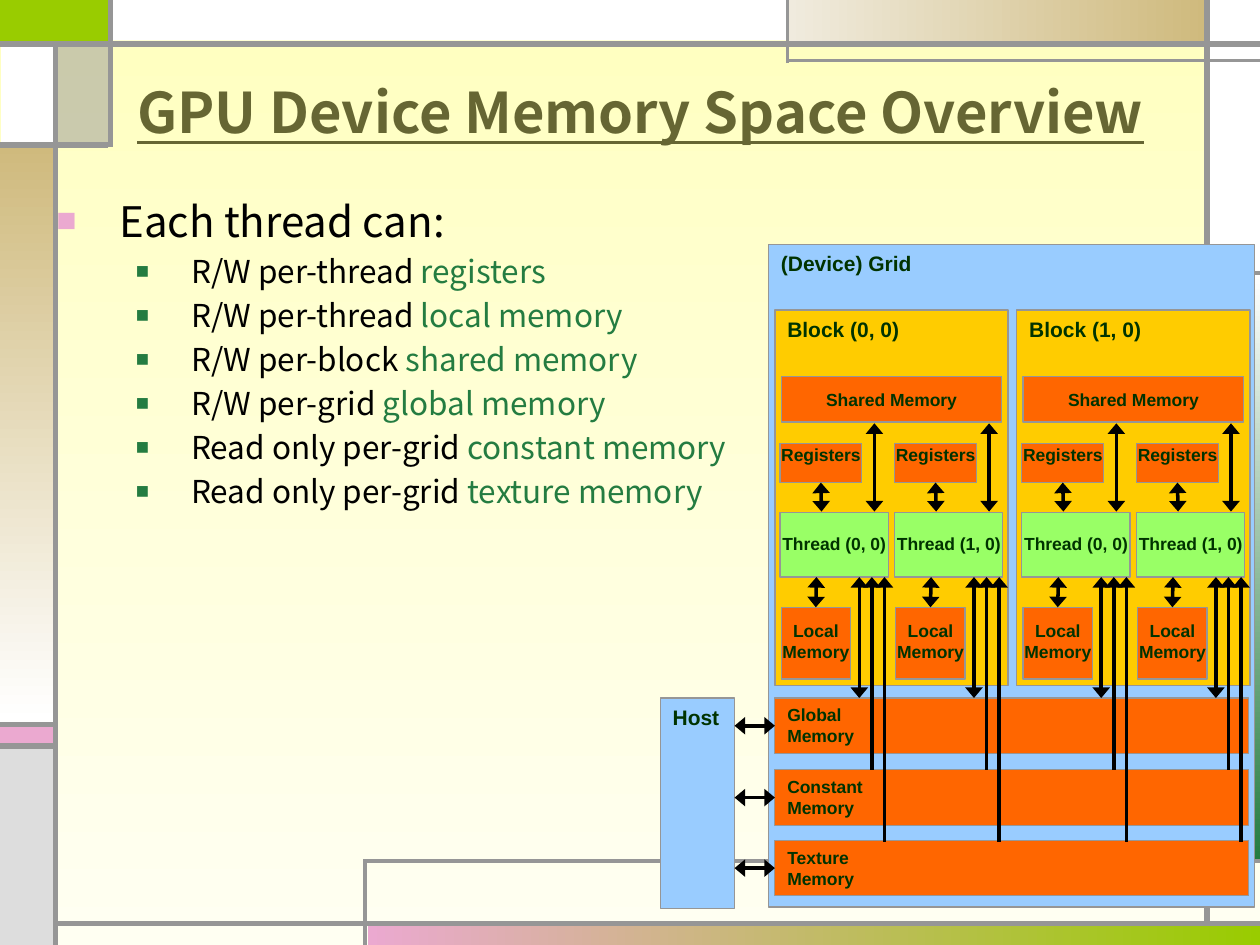
import pptx
import pptx.dml.color
import pptx.enum.dml
import pptx.enum.shapes
import pptx.enum.text
import pptx.oxml
import pptx.oxml.ns
import pptx.util
from lxml import etree

Inches = pptx.util.Inches
Pt = pptx.util.Pt
hex_color = pptx.dml.color.RGBColor.from_string
qn = pptx.oxml.ns.qn
ALIGN = pptx.enum.text.PP_ALIGN
ANCHOR = pptx.enum.text.MSO_ANCHOR

GRAY, BLACK, GREEN = "969696", "000000", "247C41"
ORANGE, BLUE, YELLOW, LIME = "FF6600", "99CCFF", "FFCC00", "99FF66"
TEXT_FONT = "Noto Sans CJK KR"
BOTH, HEAD = ("headEnd", "tailEnd"), ("headEnd",)

deck = pptx.Presentation()
deck.slide_width, deck.slide_height = Inches(10), Inches(7.5)
slide = deck.slides.add_slide(deck.slide_layouts[6])


def add_box(at, fill, label="", size=10, inset=None, outlined=True):
    """Add a rectangle; an inset (top margin) centres its label and drops the side margins."""
    box = slide.shapes.add_shape(pptx.enum.shapes.MSO_SHAPE.RECTANGLE, *map(Inches, at))
    box.shadow.inherit = False
    box.fill.solid()
    box.fill.fore_color.rgb = hex_color(fill)
    if outlined:
        box.line.color.rgb = hex_color(GRAY)
        box.line.width = Pt(0.75)
    else:
        box.line.fill.background()
    if label:
        frame = box.text_frame
        frame.word_wrap = True
        frame.vertical_anchor = ANCHOR.TOP
        if inset is not None:
            frame.margin_left = frame.margin_right = frame.margin_bottom = 0
            frame.margin_top = Inches(inset)
        frame.text = label
        style = {"name": "Arial", "size": Pt(size), "bold": True}
        for para in frame.paragraphs:
            para.alignment = ALIGN.LEFT if inset is None else ALIGN.CENTER
            for name, value in style.items():
                setattr(para.runs[0].font, name, value)
            para.runs[0].font.color.rgb = hex_color("003300")
    return box


def add_line(start, end, color=BLACK, width=2, arrows=()):
    line = slide.shapes.add_connector(
        pptx.enum.shapes.MSO_CONNECTOR.STRAIGHT, *map(Inches, start + end))
    line.line.color.rgb = hex_color(color)
    line.line.width = Pt(width)
    outline = line.line._get_or_add_ln()
    for arrow in arrows:
        etree.SubElement(outline, qn("a:" + arrow), type="triangle", w="lg", len="med")
    etree.SubElement(line._element.spPr, qn("a:effectLst"))
    return line


# Background and decorative frame
gradients = [(slide.background.fill, ("FFFFBF", "FFFFF2"), 270)]
panels = [
    ((0, 0, 0.87, 0.34), "99CC00"),
    ((2.92, 7.33, 7.08, 0.17), ("EBA9D0", "99CC00", 0)),
    ((9.58, 2.17, 0.42, 4.67), ("FFFFFF", GREEN, 270)),
    ((0, 5.75, 0.42, 0.17), "EBA9D0"),
    ((0, 5.93, 0.42, 1.57), "DDDDDD"),
    ((9.58, 0, 0.42, 2.17), "FFFFFF"),
    ((6.25, 0, 3.33, 0.33), ("F0EBDE", "CFBA7D", 0)),
    ((0.46, 0.33, 0.42, 0.82), GRAY),
    ((0, 1.15, 0.42, 4.58), ("CFBA7D", "FFFFFF", 270)),
    ((0.01, 0.33, 0.42, 0.82), "FFFFFF"),
    ((0.86, 0, 5.39, 0.32), "FFFFFF"),
]
for at, fill in panels:
    if isinstance(fill, tuple):
        panel = add_box(at, fill[0], outlined=False)
        gradients.append((panel.fill, fill[:2], fill[2]))
    else:
        panel = add_box(at, fill, outlined=False)
    if fill == GRAY:
        color = panel._element.spPr.find(".//" + qn("a:srgbClr"))
        etree.SubElement(color, qn("a:alpha"), val="50000")

for fill, colors, angle in gradients:
    fill.gradient()
    fill.gradient_angle = angle
    for stop, color in zip(fill.gradient_stops, colors):
        stop.color.rgb = hex_color(color)

frame_lines = [
    ((0.44, 7.5), (0.44, 0.33), 3),
    ((0.44, 7.33), (10, 7.33), 3),
    ((9.58, 7.33), (9.58, 0), 3),
    ((0, 0.35), (10, 0.35), 3),
    ((10, 0.48), (6.25, 0.48), 2.25),
    ((6.25, 0.5), (6.25, 0), 2.25),
    ((9.58, 2.17), (10, 2.17), 2.25),
    ((0.88, 0), (0.88, 1.17), 3),
    ((0.86, 1.15), (0, 1.15), 3),
    ((2.9, 7.5), (2.9, 6.82), 2.25),
    ((2.89, 6.83), (10, 6.83), 2.25),
    ((0.46, 5.75), (0, 5.75), 3),
    ((0.46, 5.92), (0, 5.92), 3),
]
for start, end, width in frame_lines:
    add_line(start, end, GRAY, width)

# Title
title = slide.shapes.add_textbox(Inches(0.5), Inches(0.3), Inches(9.17), Inches(1.17))
title.text_frame.word_wrap = True
title.text_frame.vertical_anchor = ANCHOR.MIDDLE
para = title.text_frame.paragraphs[0]
para.alignment = ALIGN.CENTER
span = para.add_run()
span.text = "GPU Device Memory Space Overview"
title_style = {"name": TEXT_FONT, "size": Pt(32), "bold": True, "underline": True}
for name, value in title_style.items():
    setattr(span.font, name, value)
span.font.color.rgb = hex_color("666633")

# Bullet list
body = slide.shapes.add_textbox(Inches(0.35), Inches(1.5), Inches(5.67), Inches(3))
body.text_frame.word_wrap = True
bullets = [
    ("Each thread can:", ""),
    ("R/W per-thread ", "registers"),
    ("R/W per-thread ", "local memory"),
    ("R/W per-block ", "shared memory"),
    ("R/W per-grid ", "global memory"),
    ("Read only per-grid ", "constant memory"),
    ("Read only per-grid ", "texture memory"),
]
heading_format = {"level": 0}
item_format = {"level": 1, "space_before": Pt(3.6)}
for index, (access, memory) in enumerate(bullets):
    if index == 0:
        para = body.text_frame.paragraphs[0]
        layout, left, hanging, size = heading_format, 0.5, -0.5, 24
        bullet_color, bullet_size = "EBA9D0", "80000"
    else:
        para = body.text_frame.add_paragraph()
        layout, left, hanging, size = item_format, 1.07, -0.44, 18
        bullet_color, bullet_size = GREEN, "70000"
    for name, value in layout.items():
        setattr(para, name, value)
    properties = para._p.get_or_add_pPr()
    properties.set("marL", str(Inches(left)))
    properties.set("indent", str(Inches(hanging)))
    marker = etree.SubElement(properties, qn("a:buClr"))
    etree.SubElement(marker, qn("a:srgbClr"), val=bullet_color)
    etree.SubElement(properties, qn("a:buSzPct"), val=bullet_size)
    etree.SubElement(properties, qn("a:buFont"), typeface="Arial")
    etree.SubElement(properties, qn("a:buChar"), char="■")
    for text, color in ((access, BLACK), (memory, GREEN)):
        if text:
            span = para.add_run()
            span.text = text
            span.font.name, span.font.size = TEXT_FONT, Pt(size)
            span.font.color.rgb = hex_color(color)

# Device grid with its memories
add_box((6.1, 1.94, 3.86, 5.26), BLUE, "(Device) Grid", 12)
memories = [add_box((6.15, top, 3.76, 0.44), ORANGE, kind + "\nMemory")
            for kind, top in (("Global", 5.54), ("Constant", 6.11), ("Texture", 6.67))]

for block in range(2):
    block_left = 6.15 + 1.92 * block
    add_box((block_left, 2.46, 1.85, 2.98), YELLOW, f"Block ({block}, 0)", 12)
    add_box((block_left + 0.05, 2.99, 1.75, 0.36), ORANGE, "Shared Memory", inset=0.1)
    for thread in range(2):
        left = block_left + 0.04 + 0.91 * thread
        local = add_box((left + 0.01, 4.82, 0.55, 0.57), ORANGE, "Local\nMemory", inset=0.1)
        add_box((left, 4.07, 0.86, 0.51), LIME, f"Thread ({thread}, 0)", inset=0.16)
        registers = add_box((left, 3.52, 0.65, 0.31), ORANGE, "Registers", inset=0)
        links = [  # offset from the thread's left side, start, end, arrowheads, joined box
            (0.75, 4.06, 3.36, BOTH, None),
            (0.33, 4.06, 3.83, BOTH, registers),
            (0.29, 4.58, 4.82, BOTH, local),
            (0.63, 4.58, 5.54, BOTH, None),
            (0.83, 4.58, 6.68, HEAD, None),
            (0.73, 4.58, 6.11, HEAD, None),
        ]
        for offset, start, end, arrows, target in links:
            link = add_line((left + offset, start), (left + offset, end), arrows=arrows)
            if target:
                link.end_connect(target, 2 if target is registers else 0)

# Host
add_box((5.24, 5.54, 0.59, 1.67), BLUE, "Host", 12)
for memory in memories:
    middle = (memory.top + memory.height / 2) / Inches(1)
    link = add_line((5.83, middle), (6.15, middle), arrows=BOTH)
    link.end_connect(memory, 1)

deck.save("out.pptx")
